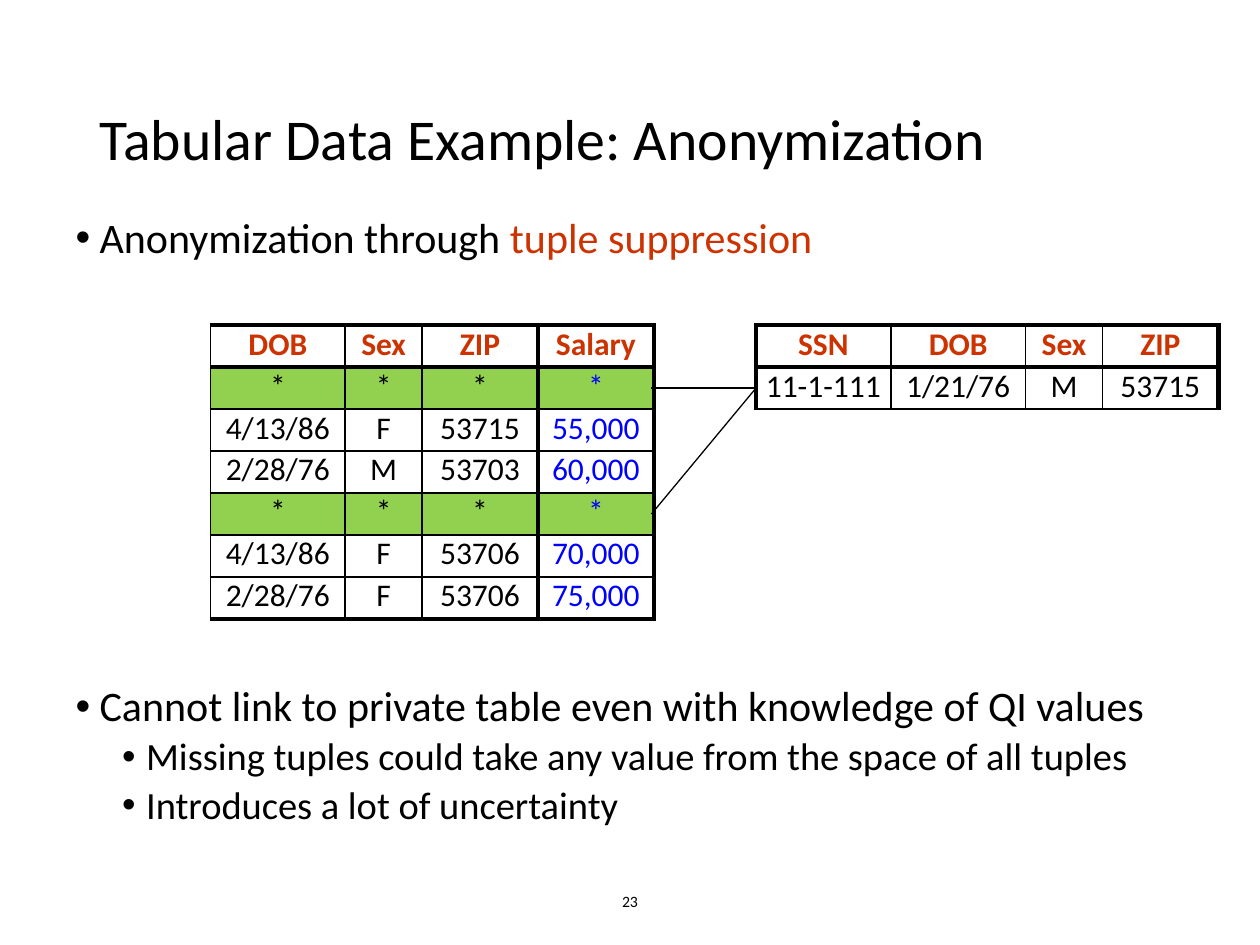
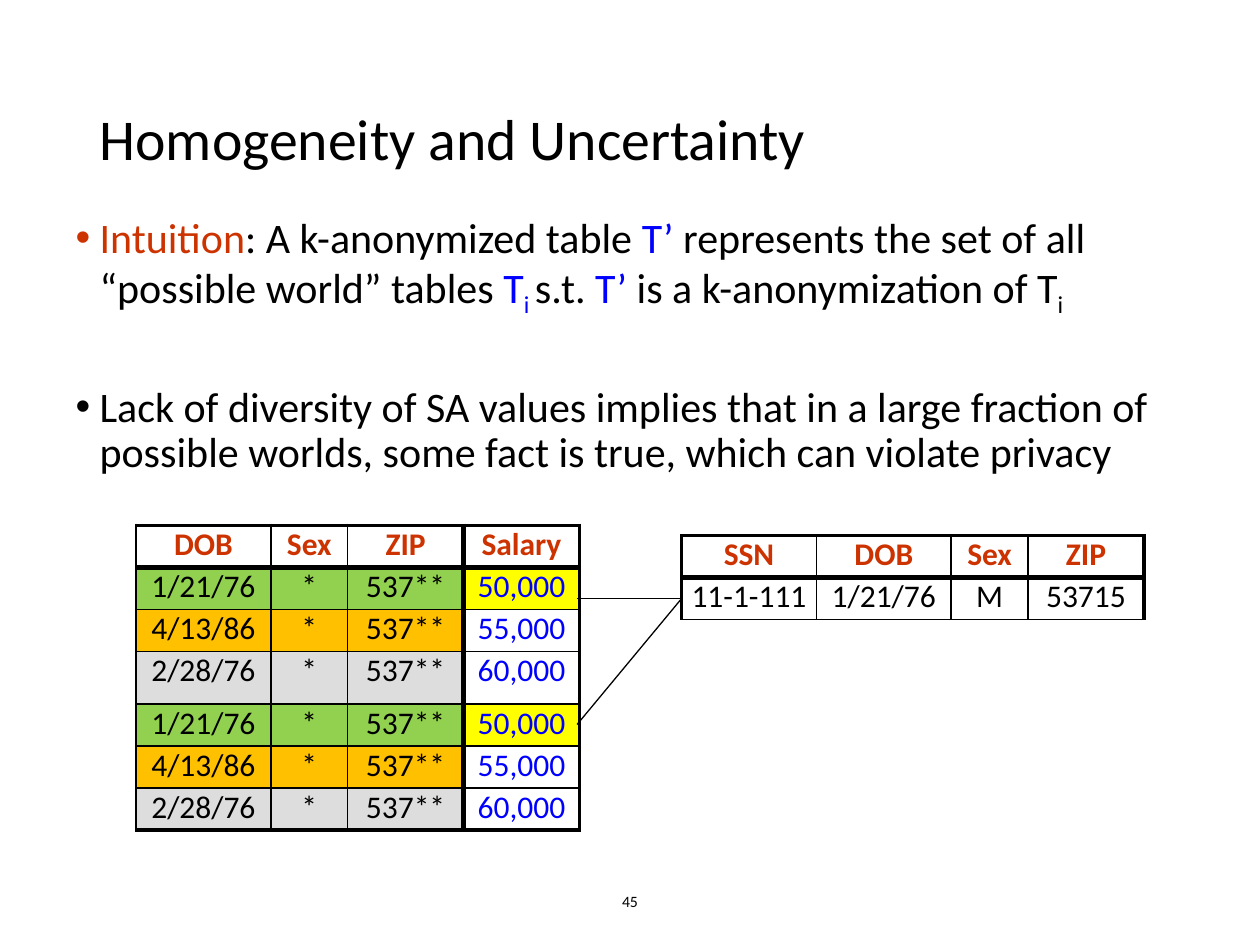
from lxml.etree import SubElement
from pptx import Presentation
from pptx.dml.color import RGBColor
from pptx.enum.shapes import MSO_CONNECTOR
from pptx.enum.text import MSO_ANCHOR, MSO_AUTO_SIZE, PP_ALIGN
from pptx.oxml import parse_xml
from pptx.oxml.ns import nsdecls, qn
from pptx.util import Inches, Pt

FONT = "Calibri"
BLACK, RED, BLUE = "000000", "CC3300", "0000FF"
GREEN, ORANGE, GRAY, YELLOW = "92D050", "FFC000", "DDDDDD", "FFFF00"
ROW_HEIGHT = Inches(1) // 3
DOB, SEX, ZIP, SALARY, SSN = 1.07, 0.61, 0.92, 0.92, 1.07
PRIVATE_HEADER = ["DOB", "Sex", "ZIP", "Salary"]
PUBLIC_ROWS = [["SSN", "DOB", "Sex", "ZIP"], ["11-1-111", "1/21/76", "M", "53715"]]


def color(value):
    return RGBColor.from_string(value)


def add_span(para, text, size, ink=BLACK, bold=False, subscript=False):
    span = para.add_run()
    span.text = text
    span.font.name = FONT
    span.font.size = Pt(size)
    span.font.bold = bold
    span.font.color.rgb = color(ink)
    if subscript:
        span._r.get_or_add_rPr().set("baseline", "-25000")


def place(shape, left, top, width, height):
    shape.left, shape.top = Inches(left), Inches(top)
    shape.width, shape.height = Inches(width), Inches(height)


def add_title(page, text):
    title = page.shapes.title
    place(title, 0.69, 0.4, 8.62, 1.45)
    frame = title.text_frame
    frame.auto_size = MSO_AUTO_SIZE.NONE
    frame.vertical_anchor = MSO_ANCHOR.MIDDLE
    para = frame.paragraphs[0]
    para.alignment = PP_ALIGN.LEFT
    para.line_spacing = 0.9
    add_span(para, text, 33)


def add_body(page, height, items):
    """Fill the body with (level, space before, runs) items."""
    body = page.placeholders[1]
    place(body, 0.5, 1.67, 9.5, height)
    frame = body.text_frame
    frame.auto_size = MSO_AUTO_SIZE.NONE
    for index, (level, space, runs) in enumerate(items):
        para = frame.add_paragraph() if index else frame.paragraphs[0]
        properties = para._p.get_or_add_pPr()
        properties.set("marL", str(Inches(0.19 + 0.37 * level)))
        properties.set("indent", str(-Inches(0.19)))
        SubElement(properties, qn("a:buChar")).set("char", "•")
        para.level = level
        para.line_spacing = 0.9
        para.space_before = Pt(space)
        for text, *style in runs:
            add_span(para, text, 22 if level else 24, *style)


def add_page_number(page, number):
    box = page.shapes.add_textbox(Inches(3.31), Inches(6.95), Inches(3.38), Inches(0.4))
    frame = box.text_frame
    frame.word_wrap = True
    frame.vertical_anchor = MSO_ANCHOR.MIDDLE
    para = frame.paragraphs[0]
    para.alignment = PP_ALIGN.CENTER
    add_span(para, str(number), 9)


def set_borders(cell, **widths):
    """Draw the sides L, R, T and B, in that order, with widths in points."""
    properties = cell._tc.get_or_add_tcPr()
    for index, (side, width) in enumerate(widths.items()):
        properties.insert(index, parse_xml(
            f'<a:ln{side} {nsdecls("a")} w="{Pt(width)}"><a:solidFill>'
            f'<a:srgbClr val="{BLACK}"/></a:solidFill></a:ln{side}>'))


def add_grid(page, left, top, columns, rows, verticals, bottom, fills=None, blue_column=None):
    """Add a table; verticals are its upright line widths, fills are keyed by row."""
    fills = fills or {}
    frame = page.shapes.add_table(len(rows), len(columns), Inches(left), Inches(top),
                                  Inches(sum(columns)), ROW_HEIGHT * len(rows))
    table = frame.table
    table.first_row = table.horz_banding = False
    for column, width in zip(table.columns, columns):
        column.width = Inches(width)
    for row in table.rows:
        row.height = ROW_HEIGHT
    horizontals = [2.25, 3] + [1] * (len(rows) - 2) + [bottom]
    for row, texts in enumerate(rows):
        for column, text in enumerate(texts):
            cell = table.cell(row, column)
            cell.margin_left = cell.margin_right = Inches(0.05)
            cell.margin_top = cell.margin_bottom = 0
            fill = fills.get(row, [None] * len(columns))[column]
            if fill:
                cell.fill.solid()
                cell.fill.fore_color.rgb = color(fill)
            else:
                cell.fill.background()
            set_borders(cell, L=verticals[column], R=verticals[column + 1],
                        T=horizontals[row], B=horizontals[row + 1])
            para = cell.text_frame.paragraphs[0]
            para.alignment = PP_ALIGN.CENTER
            ink = RED if row == 0 else BLUE if column == blue_column else BLACK
            add_span(para, text, 18, ink, row == 0)
    return table


def add_linked_tables(page, left, private_top, public_top, rows, fills):
    """Place the private table, the public one beside it, and the links between."""
    private = add_grid(page, left, private_top, [DOB, SEX, ZIP, SALARY],
                       [PRIVATE_HEADER] + rows, [1, 1, 1, 3, 2.25], 2.25, fills, 3)
    public_left = left + 4.33
    add_grid(page, public_left, public_top, [SSN, DOB, SEX, ZIP], PUBLIC_ROWS,
             [2.25, 1, 1, 1, 3], 1)
    match = public_top + 0.5
    for start in (match, match + 1):
        link = page.shapes.add_connector(MSO_CONNECTOR.STRAIGHT, Inches(left + 3.5),
                                         Inches(start), Inches(public_left), Inches(match))
        link.line.color.rgb = color(BLACK)
        link.line.width = Pt(0.75)
        SubElement(link._element.spPr, qn("a:effectLst"))
    return private


def start_page(deck, title, number):
    page = deck.slides.add_slide(deck.slide_layouts[1])
    add_title(page, title)
    add_page_number(page, number)
    return page


def build_anonymization(deck):
    page = start_page(deck, "Tabular Data Example: Anonymization", 23)
    add_body(page, 5.42, [
        (0, 0, [("Anonymization through ",), ("tuple suppression", RED)]),
        (0, 242, [("Cannot link to private table even with knowledge of QI values",)]),
        (1, 3.8, [("Missing tuples could take any value from the space of all tuples",)]),
        (1, 3.8, [("Introduces a lot of uncertainty",)]),
    ])
    suppressed = ["*"] * 4
    rows = [
        suppressed,
        ["4/13/86", "F", "53715", "55,000"],
        ["2/28/76", "M", "53703", "60,000"],
        suppressed,
        ["4/13/86", "F", "53706", "70,000"],
        ["2/28/76", "F", "53706", "75,000"],
    ]
    fills = {row: [GREEN] * 4 for row in (1, 4)}
    add_linked_tables(page, 1.67, 2.58, 2.58, rows, fills)


def build_homogeneity(deck):
    page = start_page(deck, "Homogeneity and Uncertainty", 45)
    add_body(page, 2.25, [
        (0, 0, [
            ("Intuition", RED), (": A k-anonymized table ",), ("T’", BLUE),
            (" represents the set of all “possible world” tables ",),
            ("T", BLUE), ("i ", BLUE, False, True), ("s.t. ",), ("T’ ", BLUE),
            ("is a k-anonymization of T",), ("i", BLACK, False, True),
        ]),
        (0, 41.5, [("Lack of diversity of SA values implies that in a large fraction of "
                    "possible worlds, some fact is true, which can violate privacy",)]),
    ])
    groups = [("1/21/76", "50,000", GREEN, YELLOW),
              ("4/13/86", "55,000", ORANGE, None),
              ("2/28/76", "60,000", GRAY, None)] * 2
    rows = [[birth, "*", "537**", salary] for birth, salary, _, _ in groups]
    fills = {row: [fill] * 3 + [salary_fill]
             for row, (_, _, fill, salary_fill) in enumerate(groups, 1)}
    private = add_linked_tables(page, 1.08, 4.17, 4.25, rows, fills)
    private.rows[3].height = Inches(0.42)


def main():
    deck = Presentation()
    deck.slide_width, deck.slide_height = Inches(10), Inches(7.5)
    build_anonymization(deck)
    build_homogeneity(deck)
    deck.save("out.pptx")


if __name__ == "__main__":
    main()
